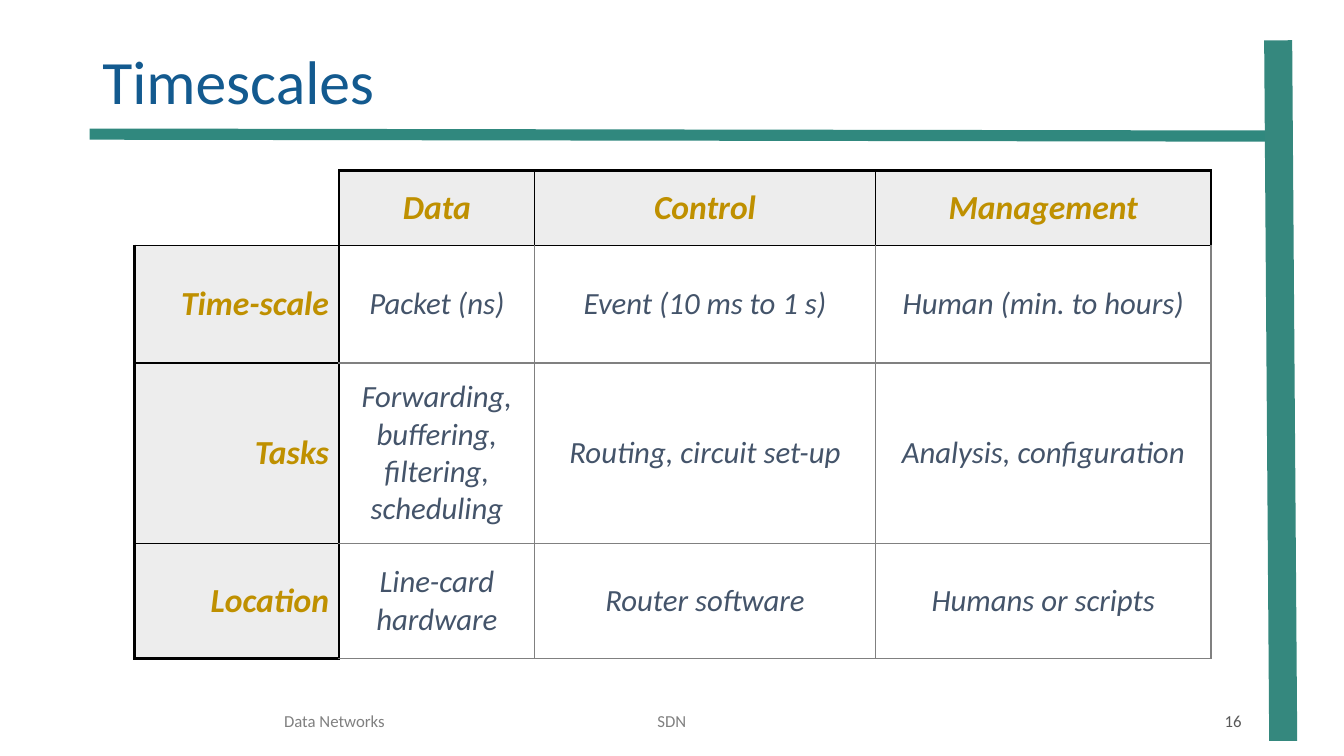
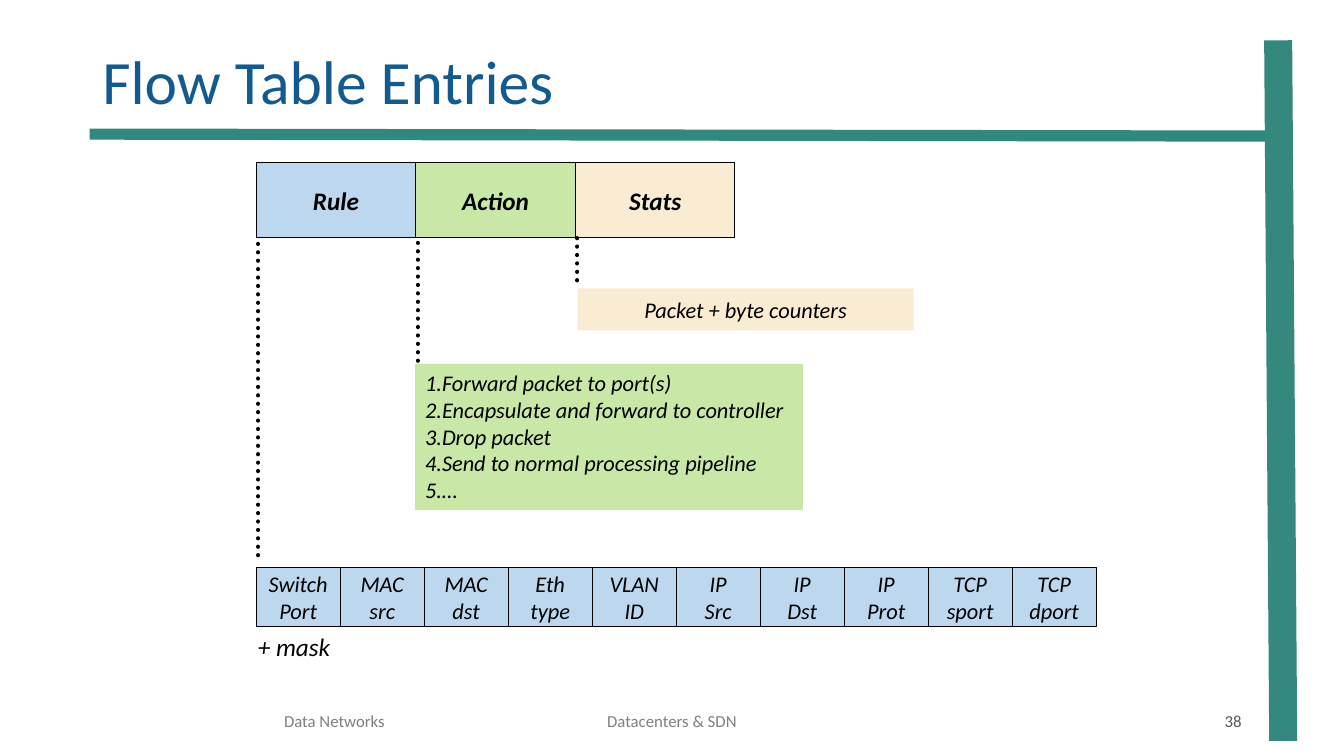
from dataclasses import dataclass
from typing import NamedTuple, Optional

from lxml.etree import SubElement
from pptx import Presentation
from pptx.dml.color import RGBColor
from pptx.enum.dml import MSO_LINE
from pptx.enum.shapes import MSO_CONNECTOR, MSO_SHAPE
from pptx.enum.text import MSO_ANCHOR, MSO_AUTO_SIZE, PP_ALIGN
from pptx.oxml.ns import qn
from pptx.shapes.autoshape import Shape
from pptx.shapes.connector import Connector
from pptx.slide import Slide
from pptx.table import _Cell
from pptx.text.text import TextFrame
from pptx.util import Pt


@dataclass(frozen=True)
class Theme:
    font: str = "Calibri"
    title: str = "135A8F"
    side_band: str = "35887E"
    title_band: str = "30887E"
    footer: str = "808080"
    number: str = "595959"
    heading: str = "BF9000"
    heading_fill: str = "EDEDED"
    body: str = "44546A"
    grid: str = "808080"
    black: str = "000000"
    rule: str = "BDD7EE"
    action: str = "C9E7A7"
    stats: str = "F9ECD2"
    title_size: float = 44
    heading_size: float = 24
    body_size: float = 22
    label_size: float = 18
    detail_size: float = 16
    footer_size: float = 12


THEME = Theme()


class Box(NamedTuple):
    left: float
    top: float
    width: float
    height: float


class Style(NamedTuple):
    size: float
    color: str
    align: PP_ALIGN = PP_ALIGN.LEFT
    bold: bool = False
    italic: bool = False
    line_spacing: Optional[float] = None
    numbered: bool = False


class Band(NamedTuple):
    start: tuple[float, float]
    end: tuple[float, float]
    color: str
    width: float


class Footer(NamedTuple):
    box: Box
    style: Style


class Entry(NamedTuple):
    label: str
    fill: str
    dots_start: float
    dots_end: float


BANDS = [
    Band((907.2, 97.2), (64.1, 95.8), THEME.title_band, 8),
    Band((913, 28.8), (916.6, 529.2), THEME.side_band, 20),
]
TITLE_BOX = Box(66, 28.8, 828, 62.6)
TITLE_STYLE = Style(THEME.title_size, THEME.title, line_spacing=0.9)
FOOTERS = [
    Footer(Box(66, 500.5, 216, 28.8), Style(THEME.footer_size, THEME.footer, PP_ALIGN.RIGHT)),
    Footer(Box(318, 500.5, 324, 28.8), Style(THEME.footer_size, THEME.footer, PP_ALIGN.CENTER)),
    Footer(Box(678, 500.5, 216, 28.8), Style(THEME.footer_size, THEME.number, PP_ALIGN.RIGHT)),
]

TIMESCALES = [
    ["", "Data", "Control", "Management"],
    ["Time-scale", "Packet (ns)", "Event (10 ms to 1 s)", "Human (min. to hours)"],
    ["Tasks", "Forwarding, buffering, filtering, scheduling", "Routing, circuit set-up", "Analysis, configuration"],
    ["Location", "Line-card hardware", "Router software", "Humans or scripts"],
]
COLUMN_WIDTHS = [146.2, 139.7, 243.4, 239.8]
ROW_HEIGHTS = [53.3, 84.2, 128.9, 82.1]
SIDES = {"lnL": (0, -1), "lnR": (0, 1), "lnT": (-1, 0), "lnB": (1, 0)}

ENTRY_LEFT, ENTRY_TOP, ENTRY_WIDTH, ENTRY_HEIGHT = 183, 116, 114, 54
ENTRIES = [
    Entry("Rule", THEME.rule, 174.2, 402.5),
    Entry("Action", THEME.action, 173.5, 281.5),
    Entry("Stats", THEME.stats, 200.2, 170),
]
FIELDS = [
    ("Switch", "Port"), ("MAC", "src"), ("MAC", "dst"), ("Eth", "type"), ("VLAN", "ID"),
    ("IP", "Src"), ("IP", "Dst"), ("IP", "Prot"), ("TCP", "sport"), ("TCP", "dport"),
]
FIELD_TOP, FIELD_WIDTH, FIELD_HEIGHT = 405.4, 60, 41.8
ACTIONS = [
    "Forward packet to port(s)",
    "Encapsulate and forward to controller",
    "Drop packet",
    "Send to normal processing pipeline",
    "…",
]


def points(box: Box) -> list[Pt]:
    return [Pt(length) for length in box]


def write(frame: TextFrame, lines: list[str], style: Style) -> None:
    for index, line in enumerate(lines):
        paragraph = frame.add_paragraph() if index else frame.paragraphs[0]
        paragraph.text = line
        paragraph.alignment = style.align
        if style.line_spacing:
            paragraph.line_spacing = style.line_spacing
        if style.numbered:
            properties = paragraph._p.get_or_add_pPr()
            SubElement(properties, qn("a:buAutoNum"), type="arabicPeriod")
        font = paragraph.font
        font.name = THEME.font
        font.size = Pt(style.size)
        font.bold = style.bold
        font.italic = style.italic
        font.color.rgb = RGBColor.from_string(style.color)


def add_text(slide: Slide, box: Box, text: str, style: Style, wrap: bool = True,
             anchor: MSO_ANCHOR = MSO_ANCHOR.MIDDLE) -> None:
    frame = slide.shapes.add_textbox(*points(box)).text_frame
    frame.word_wrap = wrap
    frame.vertical_anchor = anchor
    write(frame, [text], style)


def add_box(slide: Slide, box: Box, fill: str, lines: list[str], style: Style,
            outlined: bool = False) -> Shape:
    shape = slide.shapes.add_shape(MSO_SHAPE.RECTANGLE, *points(box))
    shape.shadow.inherit = False
    shape.fill.solid()
    shape.fill.fore_color.rgb = RGBColor.from_string(fill)
    if outlined:
        shape.line.color.rgb = RGBColor.from_string(THEME.black)
        shape.line.width = Pt(0.75)
    else:
        shape.line.fill.background()
    shape.text_frame.word_wrap = False
    shape.text_frame.vertical_anchor = MSO_ANCHOR.MIDDLE
    write(shape.text_frame, lines, style)
    return shape


def add_line(slide: Slide, band: Band) -> Connector:
    line = slide.shapes.add_connector(
        MSO_CONNECTOR.STRAIGHT, *[Pt(length) for length in band.start + band.end])
    line.line.color.rgb = RGBColor.from_string(band.color)
    line.line.width = Pt(band.width)
    SubElement(line._element.spPr, qn("a:effectLst"))
    return line


def add_dotted_line(slide: Slide, left: float, start: float, end: float) -> None:
    line = add_line(slide, Band((left, start), (left, end), THEME.black, 3)).line
    line.dash_style = MSO_LINE.ROUND_DOT
    line._get_or_add_ln().set("cap", "rnd")


def add_slide(presentation: Presentation, title: str, footers: list[str]) -> Slide:
    slide = presentation.slides.add_slide(presentation.slide_layouts[6])
    for band in BANDS:
        add_line(slide, band)
    add_text(slide, TITLE_BOX, title, TITLE_STYLE)
    for footer, text in zip(FOOTERS, footers):
        add_text(slide, footer.box, text, footer.style)
    return slide


def is_heading(row: int, column: int) -> bool:
    return (row == 0) != (column == 0)


def set_borders(cell: _Cell, row: int, column: int) -> None:
    properties = cell._tc.get_or_add_tcPr()
    for side, (row_step, column_step) in SIDES.items():
        next_row, next_column = row + row_step, column + column_step
        inside = 0 <= next_row < len(ROW_HEIGHTS) and 0 <= next_column < len(COLUMN_WIDTHS)
        heading = is_heading(row, column)
        dark = heading or (inside and is_heading(next_row, next_column))
        width = 2.25 if heading and not inside else 1
        border = SubElement(properties, qn(f"a:{side}"), w=str(Pt(width)))
        if row == column == 0 and not inside:
            SubElement(border, qn("a:noFill"))
        else:
            fill = SubElement(border, qn("a:solidFill"))
            SubElement(fill, qn("a:srgbClr"), val=THEME.black if dark else THEME.grid)


def build_timescales(presentation: Presentation) -> None:
    slide = add_slide(presentation, "Timescales", ["Data Networks", "SDN", "16"])
    box = Box(96, 121.8, sum(COLUMN_WIDTHS), sum(ROW_HEIGHTS))
    table = slide.shapes.add_table(len(ROW_HEIGHTS), len(COLUMN_WIDTHS), *points(box)).table
    table.first_row = table.horz_banding = False
    for column, width in zip(table.columns, COLUMN_WIDTHS):
        column.width = Pt(width)
    for row, height in zip(table.rows, ROW_HEIGHTS):
        row.height = Pt(height)
    body = Style(THEME.body_size, THEME.body, PP_ALIGN.CENTER, italic=True)
    top_heading = Style(THEME.heading_size, THEME.heading, PP_ALIGN.CENTER, True, True)
    side_heading = top_heading._replace(align=PP_ALIGN.RIGHT)
    for row, texts in enumerate(TIMESCALES):
        for column, text in enumerate(texts):
            cell = table.cell(row, column)
            cell.vertical_anchor = MSO_ANCHOR.MIDDLE
            set_borders(cell, row, column)
            if is_heading(row, column):
                cell.fill.solid()
                cell.fill.fore_color.rgb = RGBColor.from_string(THEME.heading_fill)
            else:
                cell.fill.background()
            style = top_heading if row == 0 else side_heading if column == 0 else body
            write(cell.text_frame, [text], style)


def build_flow_table(presentation: Presentation) -> None:
    slide = add_slide(presentation, "Flow Table Entries", ["Data Networks", "Datacenters & SDN", "38"])
    label = Style(THEME.label_size, THEME.black, PP_ALIGN.CENTER, True, True)
    detail = Style(THEME.detail_size, THEME.black, PP_ALIGN.CENTER, italic=True)
    for index, entry in enumerate(ENTRIES):
        left = ENTRY_LEFT + index * ENTRY_WIDTH
        box = Box(left, ENTRY_TOP, ENTRY_WIDTH, ENTRY_HEIGHT)
        add_box(slide, box, entry.fill, [entry.label], label, outlined=True)
        add_dotted_line(slide, left + 1.4, entry.dots_start, entry.dots_end)
    for index, lines in enumerate(FIELDS):
        box = Box(ENTRY_LEFT + index * FIELD_WIDTH, FIELD_TOP, FIELD_WIDTH, FIELD_HEIGHT)
        add_box(slide, box, THEME.rule, list(lines), detail, outlined=True)
    add_text(slide, Box(177.1, 447.1, 67.7, 29), "+ mask",
             Style(THEME.label_size, THEME.black, italic=True), False, MSO_ANCHOR.TOP)
    add_box(slide, Box(412.6, 206, 240, 30), THEME.stats, ["Packet + byte counters"], detail)
    actions = add_box(slide, Box(296.6, 260, 277, 104.4), THEME.action, ACTIONS,
                      detail._replace(align=PP_ALIGN.LEFT, numbered=True))
    actions.text_frame.vertical_anchor = MSO_ANCHOR.TOP
    actions.text_frame.auto_size = MSO_AUTO_SIZE.SHAPE_TO_FIT_TEXT


def main() -> None:
    presentation = Presentation()
    presentation.slide_width = Pt(960)
    presentation.slide_height = Pt(540)
    build_timescales(presentation)
    build_flow_table(presentation)
    presentation.save("out.pptx")


if __name__ == "__main__":
    main()
